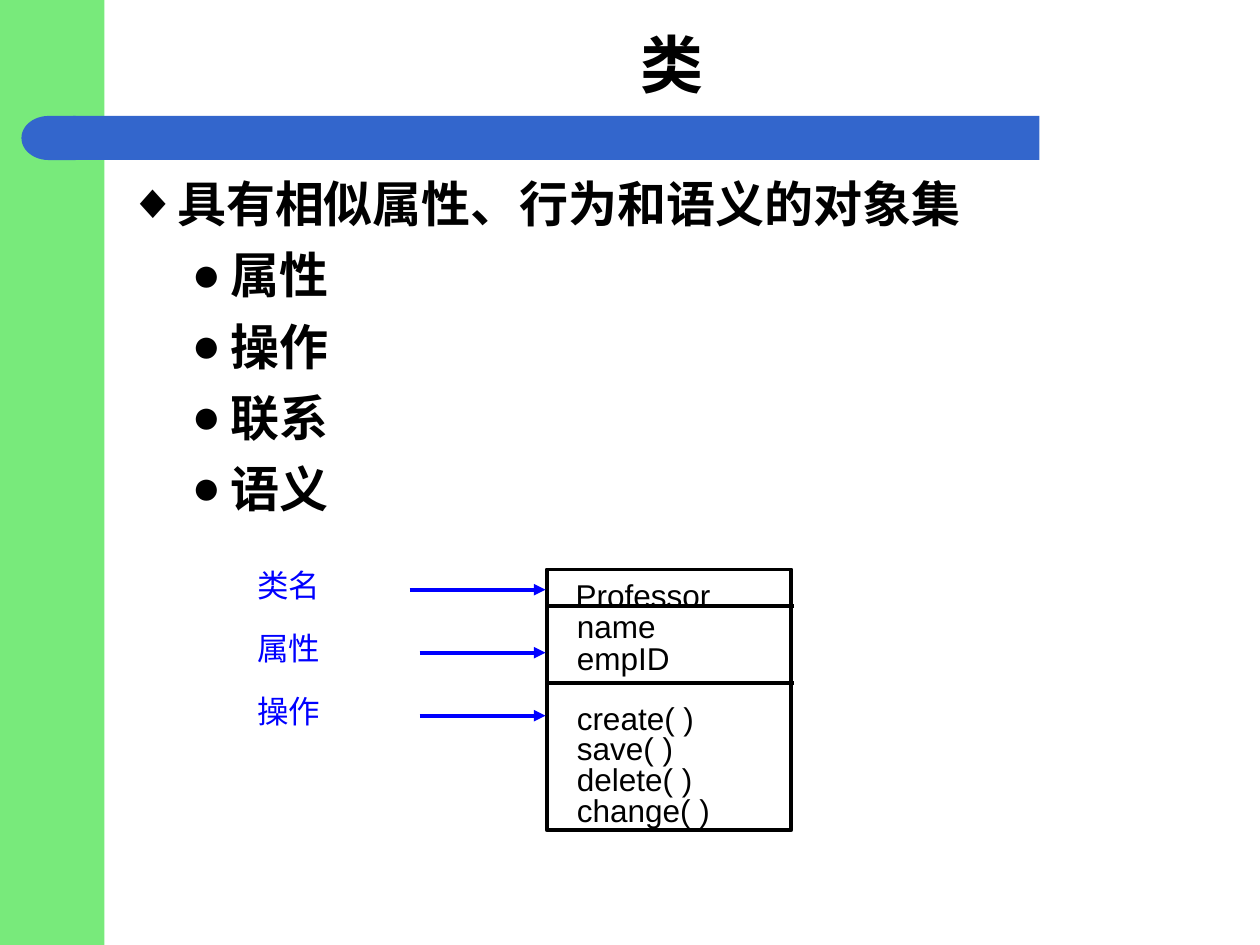
import pptx
import pptx.dml.color
import pptx.enum.shapes
import pptx.enum.text
import pptx.oxml
import pptx.oxml.ns
import pptx.util

Inches = pptx.util.Inches
Pt = pptx.util.Pt
RGBColor = pptx.dml.color.RGBColor
MSO_SHAPE = pptx.enum.shapes.MSO_SHAPE
PP_ALIGN = pptx.enum.text.PP_ALIGN
MSO_ANCHOR = pptx.enum.text.MSO_ANCHOR
MSO_AUTO_SIZE = pptx.enum.text.MSO_AUTO_SIZE

GREEN = RGBColor(0x78, 0xEA, 0x7B)
BAR_BLUE = RGBColor(0x33, 0x66, 0xCC)
LABEL_BLUE = RGBColor(0x00, 0x00, 0xFF)
BLACK = RGBColor(0x00, 0x00, 0x00)

CLASS_LEFT = 4.33
MEMBERS = [("Professor", 4.47, 4.52), ("name", 4.48, 4.77), ("empID", 4.48, 5.02),
           ("create( )", 4.48, 5.5), ("save( )", 4.48, 5.74),
           ("delete( )", 4.48, 5.98), ("change( )", 4.48, 6.23)]
LABELS = [("类名", 3.25), ("属性", 3.33), ("操作", 3.33)]
FEATURES = ["属性", "操作", "联系", "语义"]


def place(sp, left, top, width, height):
    sp.left, sp.top = Inches(left), Inches(top)
    sp.width, sp.height = Inches(width), Inches(height)


def write(p, text, size=18, font="Times New Roman", color=BLACK, bold=False, align=None):
    r = p.add_run()
    r.text = text
    r.font.size = Pt(size)
    r.font.name = font
    r.font.color.rgb = color
    r.font.bold = bold
    if align is not None:
        p.alignment = align


def add_block(s, kind, box, fill=None, line=None):
    sp = s.shapes.add_shape(kind, *map(Inches, box))
    sp.shadow.inherit = False
    if fill is None:
        sp.fill.background()
    else:
        sp.fill.solid()
        sp.fill.fore_color.rgb = fill
    if line is None:
        sp.line.fill.background()
    else:
        sp.line.color.rgb = line
        sp.line.width = Pt(2.25)
    return sp


def add_text(s, text, box, margins=(0.1, 0.05), wrap=False, **style):
    tf = s.shapes.add_textbox(*map(Inches, box)).text_frame
    tf.word_wrap = wrap
    tf.margin_left = tf.margin_right = Inches(margins[0])
    tf.margin_top = tf.margin_bottom = Inches(margins[1])
    write(tf.paragraphs[0], text, **style)


def add_line(s, x1, x2, y, color, arrow=False):
    line = s.shapes.add_connector(pptx.enum.shapes.MSO_CONNECTOR.STRAIGHT,
                                  Inches(x1), Inches(y), Inches(x2), Inches(y))
    line.line.color.rgb = color
    line.line.width = Pt(2.25)
    if arrow:
        ln = line.line._get_or_add_ln()
        ln.append(pptx.oxml.parse_xml(
            f'<a:tailEnd {pptx.oxml.ns.nsdecls("a")} type="triangle"/>'))
    line._element.spPr.append(pptx.oxml.parse_xml(
        f'<a:effectLst {pptx.oxml.ns.nsdecls("a")}/>'))


def add_bullet(p, text, char, margin, indent, level=0, **style):
    p.level = level
    p.space_before = Pt(7)
    pPr = p._p.get_or_add_pPr()
    pPr.set("marL", str(Inches(margin)))
    pPr.set("indent", str(Inches(-indent)))
    ns = pptx.oxml.ns.nsdecls("a")
    pPr.append(pptx.oxml.parse_xml(
        f'<a:buClr {ns}><a:srgbClr val="{BLACK}"/></a:buClr>'))
    pPr.append(pptx.oxml.parse_xml(f'<a:buChar {ns} char="{char}"/>'))
    write(p, text, size=28, bold=True, **style)


def add_decoration(s):
    add_block(s, MSO_SHAPE.RECTANGLE, (0, 0, 0.83, 7.5), fill=GREEN)
    add_block(s, MSO_SHAPE.RECTANGLE, (0.58, 0.92, 7.67, 0.35), fill=BAR_BLUE)
    cap = add_block(s, MSO_SHAPE.FLOWCHART_DELAY, (0.17, 0.92, 0.43, 0.35), fill=BAR_BLUE)
    cap.rotation = 180


def fill_placeholders(s):
    title, body = s.shapes.title, s.placeholders[1]
    place(title, 0.92, 0.17, 8.83, 0.67)
    place(body, 0.92, 1.33, 8.92, 5.67)
    for sp, anchor in ((title, MSO_ANCHOR.MIDDLE), (body, MSO_ANCHOR.TOP)):
        sp.text_frame.auto_size = MSO_AUTO_SIZE.NONE
        sp.text_frame.vertical_anchor = anchor
    write(title.text_frame.paragraphs[0], "类", size=36, bold=True, align=PP_ALIGN.CENTER)

    tf = body.text_frame
    add_bullet(tf.paragraphs[0], "具有相似属性、行为和语义的对象集", "◆", 0.38, 0.38)
    for feature in FEATURES:
        add_bullet(tf.add_paragraph(), feature, "●", 0.81, 0.31, level=1,
                   font="Noto Sans CJK SC")


def add_class_diagram(s):
    add_block(s, MSO_SHAPE.RECTANGLE, (4.34, 4.52, 1.94, 2.07), line=BLACK)
    for y in (4.81, 5.42):
        add_line(s, CLASS_LEFT, 6.3, y, BLACK)
    for text, left, top in MEMBERS:
        add_text(s, text, (left, top, 1.27, 0.4), font="Arial")
    for i, (text, start) in enumerate(LABELS):
        top = 4.43 + 0.5 * i
        add_text(s, text, (1.92, top, 1.83, 0.42), margins=(0.12, 0.06),
                 wrap=True, color=LABEL_BLUE)
        add_line(s, start, CLASS_LEFT, top + 0.25, LABEL_BLUE, arrow=True)


def main():
    prs = pptx.Presentation()
    prs.slide_width, prs.slide_height = Inches(10), Inches(7.5)
    s = prs.slides.add_slide(prs.slide_layouts[1])
    add_decoration(s)
    fill_placeholders(s)
    add_class_diagram(s)
    prs.save("out.pptx")


if __name__ == "__main__":
    main()
